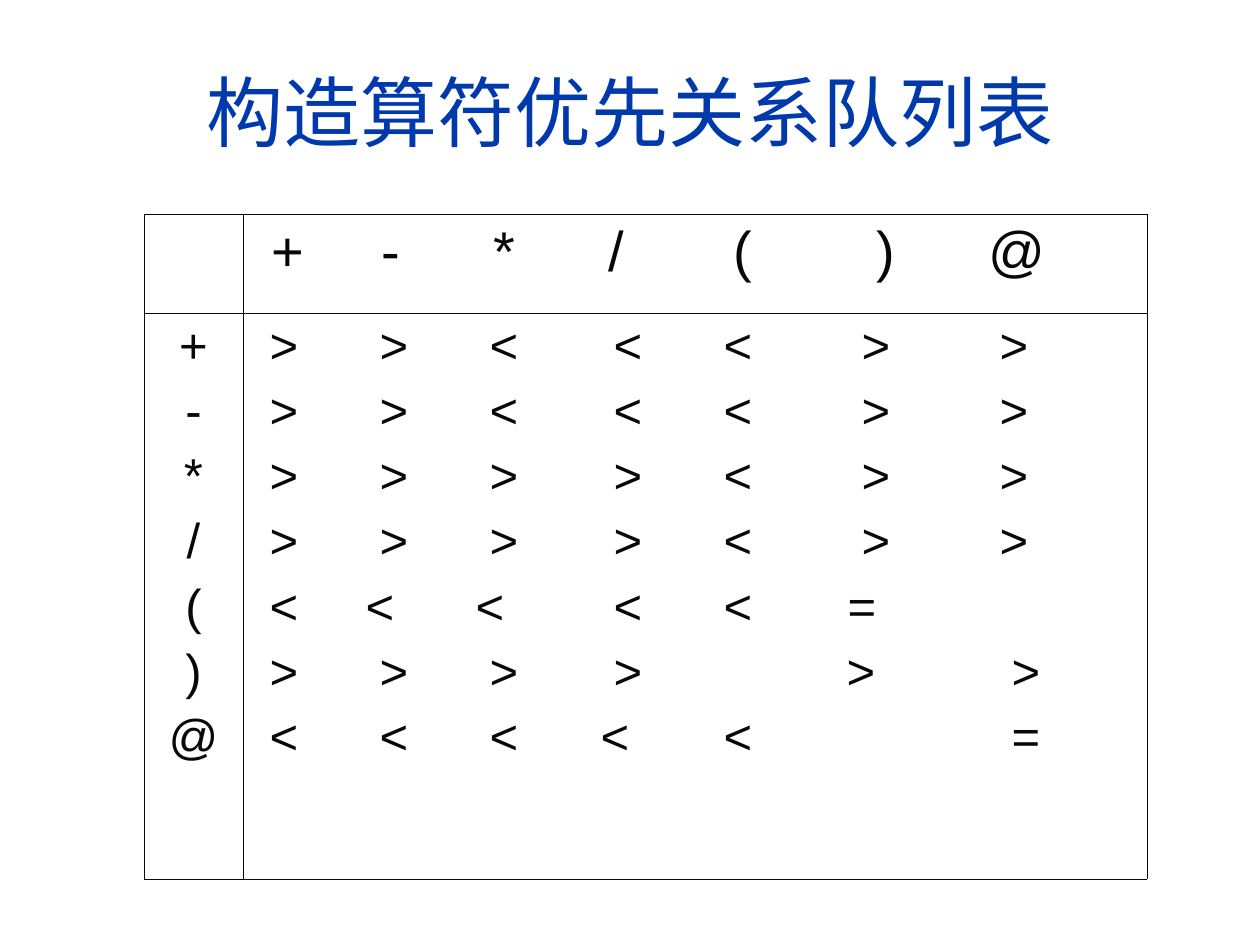
from lxml.etree import SubElement
from pptx import Presentation
from pptx.dml.color import RGBColor
from pptx.enum.text import MSO_ANCHOR, MSO_AUTO_SIZE, PP_ALIGN
from pptx.oxml.ns import qn
from pptx.util import Emu, Pt

PX = 914400 / 126
TITLE_BLUE = RGBColor(0x00, 0x39, 0xAC)
INK = RGBColor(0x08, 0x08, 0x08)
FONT = "Arial"

OPERATORS = ["+", "-", "*", "/", "(", ")", "@"]
HEADER_STOPS = [16, 126, 238, 353, 478, 621, 733]
BODY_STOPS = [14, 124, 234, 358, 468, 606, 744]
RELATIONS = [
    (">><<<>>", BODY_STOPS),
    (">><<<>>", BODY_STOPS),
    (">>>><>>", BODY_STOPS),
    (">>>><>>", BODY_STOPS),
    ("<<<<<=", [14, 110, 220, 358, 468, 592]),
    (">>>>>>", [14, 124, 234, 358, 591, 756]),
    ("<<<<<=", [14, 124, 234, 345, 468, 756]),
]


def px(length):
    return Emu(round(length * PX))


def add_run(paragraph, text, size, color):
    run = paragraph.add_run()
    run.text = text
    run.font.name = FONT
    run.font.size = Pt(size)
    run.font.color.rgb = color


def set_tab_stops(paragraph, stops):
    tab_list = SubElement(paragraph._p.get_or_add_pPr(), qn("a:tabLst"))
    for stop in stops:
        SubElement(tab_list, qn("a:tab"), pos=str(px(stop)), algn="l")


def add_tabbed_symbols(paragraph, symbols, stops, size):
    set_tab_stops(paragraph, stops)
    add_run(paragraph, "".join("\t" + symbol for symbol in symbols), size, INK)


def cell_paragraphs(cell, count):
    frame = cell.text_frame
    paragraphs = [frame.paragraphs[0]]
    for _ in range(count - 1):
        paragraph = frame.add_paragraph()
        paragraph.space_before = Pt(6)
        paragraphs.append(paragraph)
    return paragraphs


def format_cell(cell):
    properties = cell._tc.get_or_add_tcPr()
    for side in ("a:lnL", "a:lnR", "a:lnT", "a:lnB"):
        line = SubElement(properties, qn(side), w=str(Pt(0.45)))
        fill = SubElement(line, qn("a:solidFill"))
        SubElement(fill, qn("a:srgbClr"), val=str(INK))
    cell.fill.background()
    cell.vertical_anchor = MSO_ANCHOR.TOP


def place_title(slide, left, top, width, height):
    title = slide.shapes.title
    title.left, title.top = px(left), px(top)
    title.width, title.height = px(width), px(height)
    frame = title.text_frame
    frame.word_wrap = True
    frame.auto_size = MSO_AUTO_SIZE.NONE
    frame.vertical_anchor = MSO_ANCHOR.MIDDLE
    paragraph = frame.paragraphs[0]
    paragraph.alignment = PP_ALIGN.CENTER
    add_run(paragraph, "构造算符优先关系队列表", 44, TITLE_BLUE)


def add_precedence_table(slide, left, top, width, height):
    label_width = header_height = 99
    table = slide.shapes.add_table(
        2, 2, px(left), px(top), px(width), px(height)
    ).table
    table.first_row = False
    table.horz_banding = False
    table.columns[0].width = px(label_width)
    table.columns[1].width = px(width - label_width)
    table.rows[0].height = px(header_height)
    table.rows[1].height = px(height - header_height)
    for cell in table.iter_cells():
        format_cell(cell)

    header = table.cell(0, 1).text_frame.paragraphs[0]
    add_tabbed_symbols(header, OPERATORS, HEADER_STOPS, 32)

    labels = cell_paragraphs(table.cell(1, 0), len(OPERATORS))
    for paragraph, operator in zip(labels, OPERATORS):
        paragraph.alignment = PP_ALIGN.CENTER
        add_run(paragraph, operator, 28, INK)

    relations = cell_paragraphs(table.cell(1, 1), len(RELATIONS))
    for paragraph, (symbols, stops) in zip(relations, RELATIONS):
        add_tabbed_symbols(paragraph, symbols, stops, 28)


def main():
    presentation = Presentation()
    presentation.slide_width = px(1260)
    presentation.slide_height = px(945)
    slide = presentation.slides.add_slide(presentation.slide_layouts[5])
    place_title(slide, 42, 32, 1177, 158)
    add_precedence_table(slide, 144, 214, 1003, 665)
    presentation.save("out.pptx")


if __name__ == "__main__":
    main()
